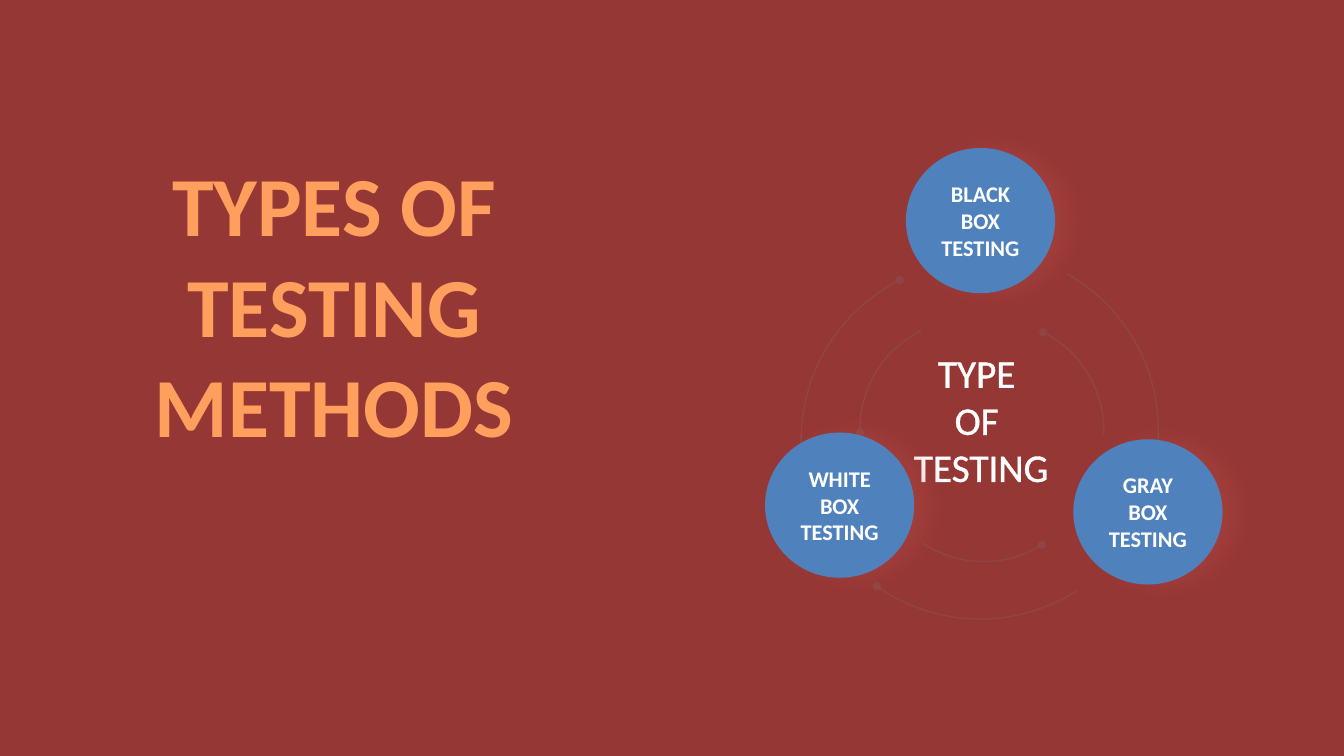
from dataclasses import dataclass

from lxml import etree
from pptx import Presentation
from pptx.dml.color import RGBColor
from pptx.enum.shapes import MSO_SHAPE
from pptx.enum.text import MSO_ANCHOR, MSO_AUTO_SIZE, PP_ALIGN
from pptx.oxml.ns import qn
from pptx.slide import Slide
from pptx.text.text import TextFrame
from pptx.util import Cm, Pt

ARC = MSO_SHAPE.ARC
OVAL = MSO_SHAPE.OVAL
CENTER = PP_ALIGN.CENTER
TOP = MSO_ANCHOR.TOP
MIDDLE = MSO_ANCHOR.MIDDLE
NO_AUTOFIT = MSO_AUTO_SIZE.NONE

FONT = "Calibri"
WHITE = "FFFFFF"
TITLE_ORANGE = "FF9F5D"
BACKGROUND_RED = "953735"
METHOD_BLUE = "4F81BD"
SHADOW_RED = "C0504D"
ORBIT_GRAY = "808080"

OUTER_ORBIT = 9.02
INNER_ORBIT = 5.54
METHOD_WIDTH, METHOD_HEIGHT = 3.76, 3.66


@dataclass(frozen=True)
class Orbit:
    left: float
    top: float
    size: float
    rotation: float = 0
    flips: tuple[str, ...] = ()
    start: float = 106.63
    end: float = 145.98


@dataclass(frozen=True)
class Method:
    label: str
    left: float
    top: float


ORBITS = (
    Orbit(20.19, 6.58, OUTER_ORBIT, start=34.49, end=75.15),
    Orbit(20.19, 6.58, OUTER_ORBIT),
    Orbit(20.17, 6.32, OUTER_ORBIT, 301.7, ("flipH", "flipV")),
    Orbit(21.67, 8.05, INNER_ORBIT, 241.5, ("flipH",)),
    Orbit(22.02, 8.61, INNER_ORBIT, 121.4, ("flipH",)),
    Orbit(22.28, 8.08, INNER_ORBIT, 0, ("flipH",)),
)

METHODS = (
    Method("BLACK BOX\nTESTING", 22.83, 3.73),
    Method("WHITE BOX\nTESTING", 19.28, 10.9),
    Method("GRAY BOX\nTESTING", 27.05, 11.07),
)


def color(value: str) -> RGBColor:
    return RGBColor.from_string(value)


def write(frame: TextFrame, text: str, size: float, ink: str,
          bold: bool, anchor: MSO_ANCHOR) -> None:
    frame.text = text
    frame.word_wrap = True
    frame.auto_size = NO_AUTOFIT
    frame.vertical_anchor = anchor
    for paragraph in frame.paragraphs:
        paragraph.alignment = CENTER
        for run in paragraph.runs:
            run.font.name = FONT
            run.font.size = Pt(size)
            run.font.bold = bold
            run.font.color.rgb = color(ink)


def add_title(slide: Slide) -> None:
    title = slide.shapes.title
    title.left, title.top = Cm(1.93), Cm(3.71)
    title.width, title.height = Cm(12.98), Cm(7.95)
    write(title.text_frame, "TYPES OF TESTING\nMETHODS", 60, TITLE_ORANGE, True, TOP)


def add_orbit(slide: Slide, orbit: Orbit) -> None:
    arc = slide.shapes.add_shape(
        ARC, Cm(orbit.left), Cm(orbit.top), Cm(orbit.size), Cm(orbit.size))
    arc.adjustments[0] = orbit.start
    arc.adjustments[1] = orbit.end
    arc.rotation = orbit.rotation
    for flip in orbit.flips:
        arc._element.spPr.find(qn("a:xfrm")).set(flip, "1")
    arc.shadow.inherit = False
    arc.fill.background()
    arc.line.width = Pt(1)
    arc.line.color.rgb = color(ORBIT_GRAY)
    outline = arc._element.spPr.find(qn("a:ln"))
    etree.SubElement(outline.find(".//" + qn("a:srgbClr")), qn("a:alpha"), val="20000")
    etree.SubElement(outline, qn("a:tailEnd"), type="oval")


def add_center_label(slide: Slide) -> None:
    label = slide.shapes.add_textbox(Cm(22.53), Cm(8.66), Cm(4.39), Cm(1.14))
    write(label.text_frame, "TYPE \nOF \nTESTING", 28, WHITE, False, TOP)
    for paragraph in label.text_frame.paragraphs:
        for run in paragraph.runs:
            outline = etree.Element(qn("a:ln"), w=str(Pt(1.45)))
            fill = etree.SubElement(outline, qn("a:solidFill"))
            etree.SubElement(fill, qn("a:srgbClr"), val=WHITE)
            run._r.get_or_add_rPr().insert(0, outline)


def add_method(slide: Slide, method: Method) -> None:
    circle = slide.shapes.add_shape(
        OVAL, Cm(method.left), Cm(method.top), Cm(METHOD_WIDTH), Cm(METHOD_HEIGHT))
    circle.fill.solid()
    circle.fill.fore_color.rgb = color(METHOD_BLUE)
    circle.line.fill.background()
    circle.shadow.inherit = False
    effects = circle._element.spPr.find(qn("a:effectLst"))
    shadow = etree.SubElement(
        effects, qn("a:outerShdw"), blurRad=str(Pt(20)), dist=str(Pt(10)),
        dir="0", algn="ctr", rotWithShape="0")
    tint = etree.SubElement(shadow, qn("a:srgbClr"), val=SHADOW_RED)
    etree.SubElement(tint, qn("a:alpha"), val="32000")
    write(circle.text_frame, method.label, 16, WHITE, True, MIDDLE)


def main() -> None:
    presentation = Presentation()
    presentation.slide_width = Cm(33.87)
    presentation.slide_height = Cm(19.05)
    slide = presentation.slides.add_slide(presentation.slide_layouts[5])
    slide.background.fill.solid()
    slide.background.fill.fore_color.rgb = color(BACKGROUND_RED)
    add_title(slide)
    for orbit in ORBITS:
        add_orbit(slide, orbit)
    add_center_label(slide)
    for method in METHODS:
        add_method(slide, method)
    presentation.save("out.pptx")


if __name__ == "__main__":
    main()
